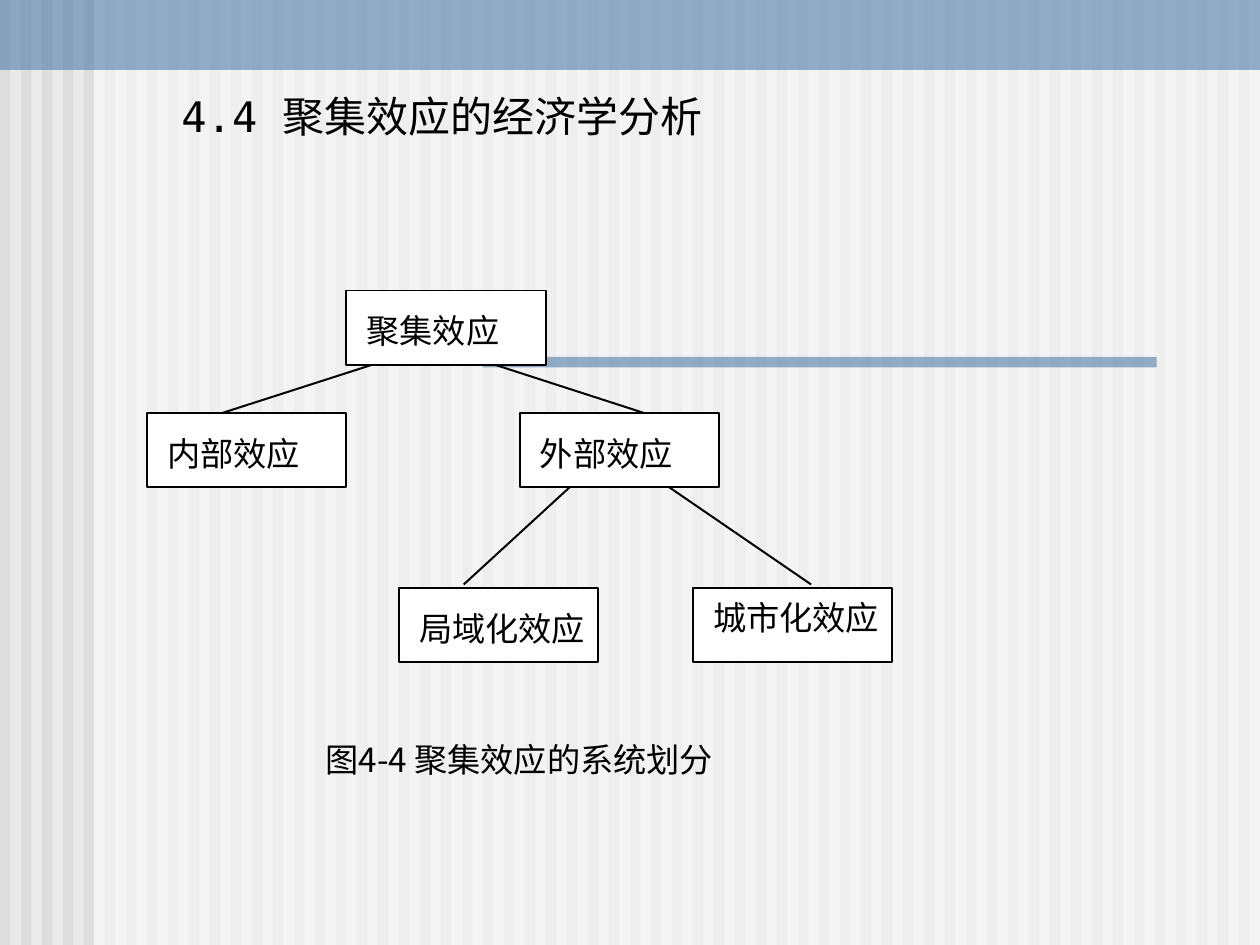
from dataclasses import dataclass

from lxml import etree
from pptx import Presentation
from pptx.dml.color import RGBColor
from pptx.enum.shapes import MSO_CONNECTOR, MSO_SHAPE
from pptx.enum.text import MSO_ANCHOR, PP_ALIGN
from pptx.oxml.ns import qn
from pptx.util import Pt

RECTANGLE = MSO_SHAPE.RECTANGLE
STRAIGHT = MSO_CONNECTOR.STRAIGHT
TOP = MSO_ANCHOR.TOP
LEFT = PP_ALIGN.LEFT

SLIDE_WIDTH, SLIDE_HEIGHT = 720, 540
STRIPE_PITCH, STRIPE_WIDTH = 12, 6
BOX_WIDTH, BOX_HEIGHT = 114, 42.5
LABEL_INDENT = 11.5


@dataclass(frozen=True)
class Theme:
    background: str = "EAEAEA"
    stripe: str = "DDDDDD"
    accent: str = "336699"
    paper: str = "FFFFFF"
    ink: str = "000000"
    title_size: float = 24
    label_size: float = 19
    line_width: float = 1.13
    number_font: str = "DejaVu Sans Mono"
    title_font: str = "Times New Roman"
    chinese_font: str = "Noto Sans CJK SC"


class SlideBuilder:
    def __init__(self, slide, theme):
        self.slide = slide
        self.theme = theme
        fill = slide.background.fill
        fill.solid()
        fill.fore_color.rgb = RGBColor.from_string(theme.background)

    def band(self, left, top, width, height, color, opacity=100):
        """Add a borderless rectangle; opacity is in percent."""
        shape = self.slide.shapes.add_shape(
            RECTANGLE, Pt(left), Pt(top), Pt(width), Pt(height))
        shape.shadow.inherit = False
        shape.fill.solid()
        shape.fill.fore_color.rgb = RGBColor.from_string(color)
        shape.line.fill.background()
        if opacity < 100:
            solid_fill = shape._element.spPr.find(qn("a:solidFill"))
            alpha = etree.SubElement(solid_fill[0], qn("a:alpha"))
            alpha.set("val", str(opacity * 1000))
        return shape

    def set_text(self, shape, runs, size, left_inset=0, top_inset=0, wrap=False):
        """Fill a shape with one paragraph of (text, font name) runs."""
        frame = shape.text_frame
        frame.word_wrap = wrap
        frame.vertical_anchor = TOP
        frame.margin_left, frame.margin_top = Pt(left_inset), Pt(top_inset)
        frame.margin_right = frame.margin_bottom = 0
        paragraph = frame.paragraphs[0]
        paragraph.alignment = LEFT
        for text, font_name in runs:
            run = paragraph.add_run()
            run.text = text
            run.font.name = font_name
            run.font.size = Pt(size)
            run.font.color.rgb = RGBColor.from_string(self.theme.ink)
            properties = run._r.get_or_add_rPr()
            east_asian = etree.SubElement(properties, qn("a:ea"))
            east_asian.set("typeface", self.theme.chinese_font)

    def text(self, left, top, width, height, runs, size, **layout):
        box = self.slide.shapes.add_textbox(
            Pt(left), Pt(top), Pt(width), Pt(height))
        self.set_text(box, runs, size, **layout)

    def node(self, left, top, label, top_inset):
        shape = self.band(left, top, BOX_WIDTH, BOX_HEIGHT, self.theme.paper)
        shape.line.color.rgb = RGBColor.from_string(self.theme.ink)
        shape.line.width = Pt(self.theme.line_width)
        self.set_text(shape, [(label, self.theme.chinese_font)],
                      self.theme.label_size, LABEL_INDENT, top_inset)

    def branch(self, start, end):
        connector = self.slide.shapes.add_connector(
            STRAIGHT, Pt(start[0]), Pt(start[1]), Pt(end[0]), Pt(end[1]))
        connector.line.color.rgb = RGBColor.from_string(self.theme.ink)
        connector.line.width = Pt(self.theme.line_width)
        etree.SubElement(connector._element.spPr, qn("a:effectLst"))


def add_backdrop(builder):
    theme = builder.theme
    for left in range(0, SLIDE_WIDTH, STRIPE_PITCH):
        builder.band(left, 0, STRIPE_WIDTH, SLIDE_HEIGHT, theme.stripe)
    builder.band(53.5, 0, SLIDE_WIDTH - 53.5, SLIDE_HEIGHT, theme.paper, 50)
    builder.band(0, 0, SLIDE_WIDTH, 40, theme.accent, 50)
    builder.band(276, 204, 385, 6, theme.accent, 50)


def add_effect_tree(builder):
    nodes = [
        (198, 166, "聚集效应", 11.5),
        (84, 236, "内部效应", 11.5),
        (297, 236, "外部效应", 11.5),
        (228, 336, "局域化效应", 11.5),
        (396, 336, "城市化效应", 5.5),
    ]
    for node in nodes:
        builder.node(*node)

    branches = [
        ((283, 208.5), (368, 236)),
        ((325.5, 278.5), (265, 334)),
        ((382.5, 278.5), (463.5, 334)),
        ((212.5, 208.5), (127, 236)),
    ]
    for start, end in branches:
        builder.branch(start, end)


def main():
    presentation = Presentation()
    presentation.slide_width = Pt(SLIDE_WIDTH)
    presentation.slide_height = Pt(SLIDE_HEIGHT)
    theme = Theme()
    slide = presentation.slides.add_slide(presentation.slide_layouts[6])
    builder = SlideBuilder(slide, theme)

    add_backdrop(builder)
    builder.text(66, 48, 600, 42,
                 [("4.4 ", theme.number_font),
                  ("聚集效应的经济学分析", theme.title_font)],
                 theme.title_size, left_inset=37.7, top_inset=3.6, wrap=True)
    builder.text(186, 422.5, 223, 23,
                 [("图4-4 聚集效应的系统划分", theme.chinese_font)],
                 theme.label_size)
    add_effect_tree(builder)
    presentation.save("out.pptx")


if __name__ == "__main__":
    main()
